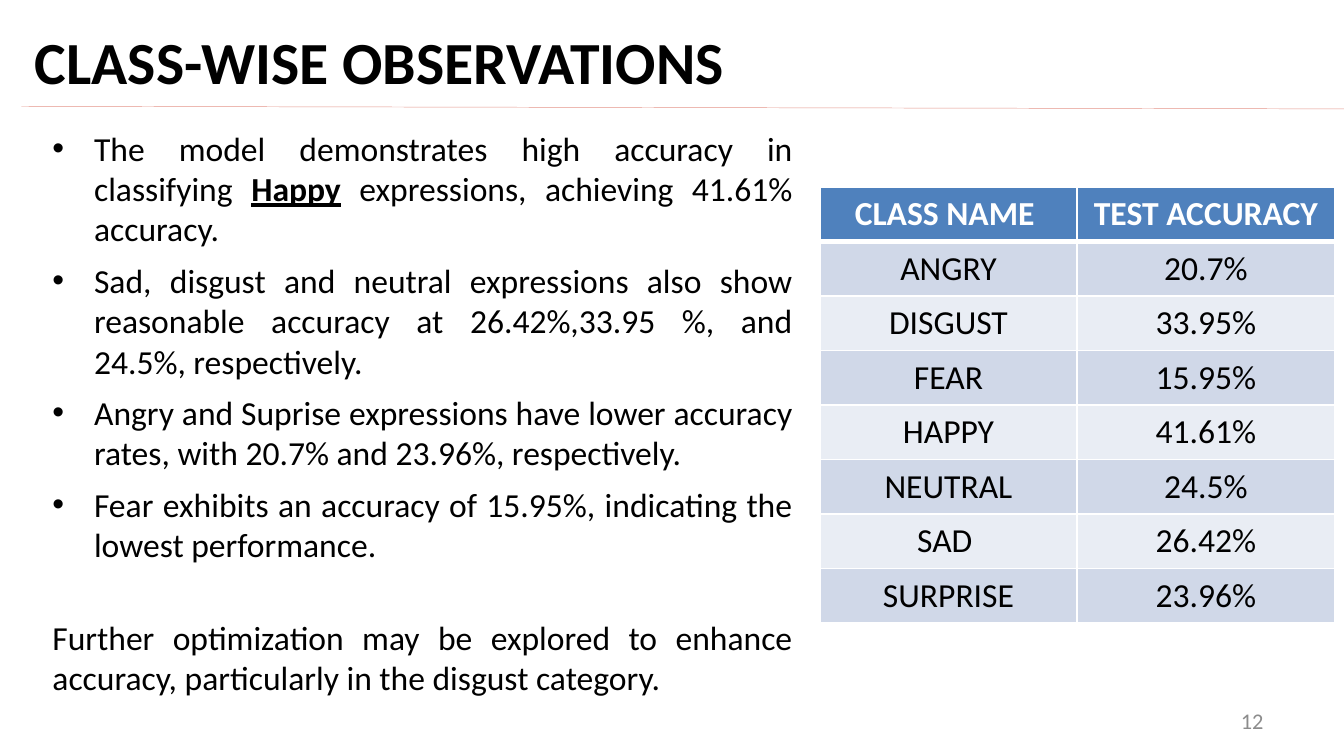
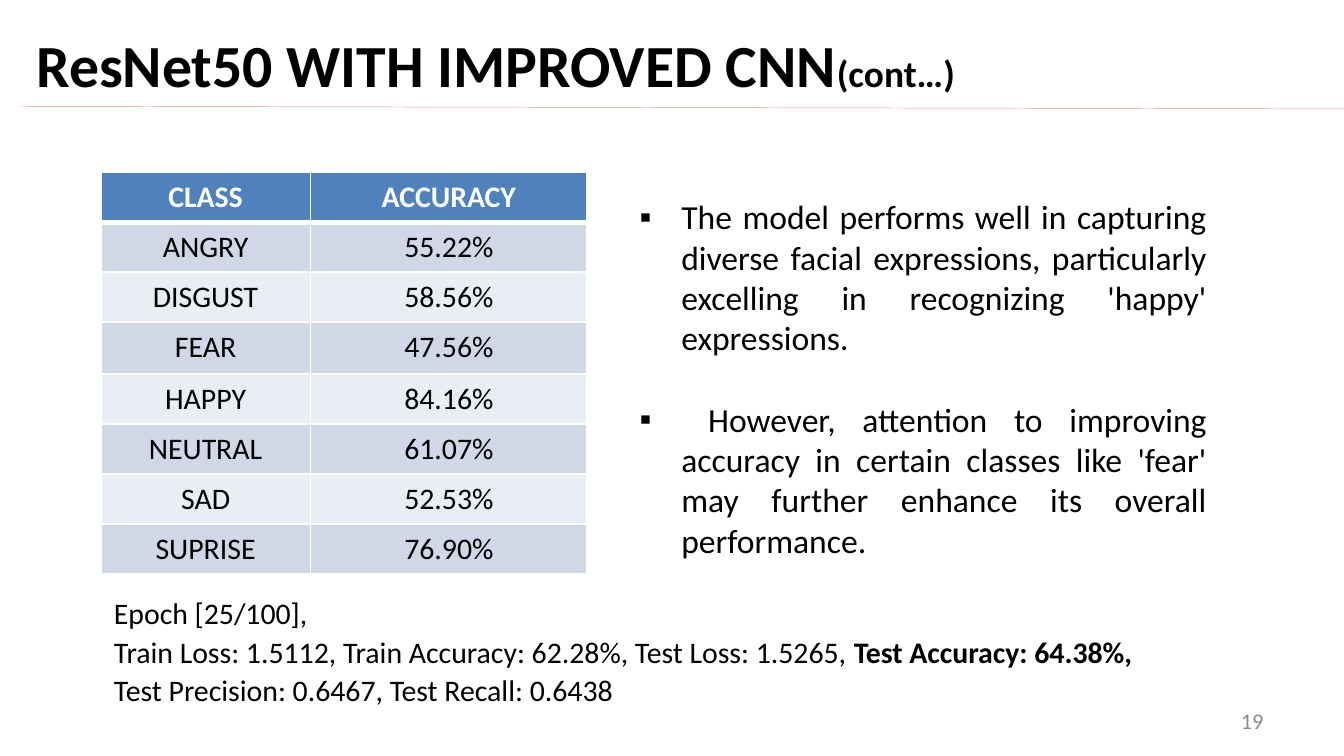
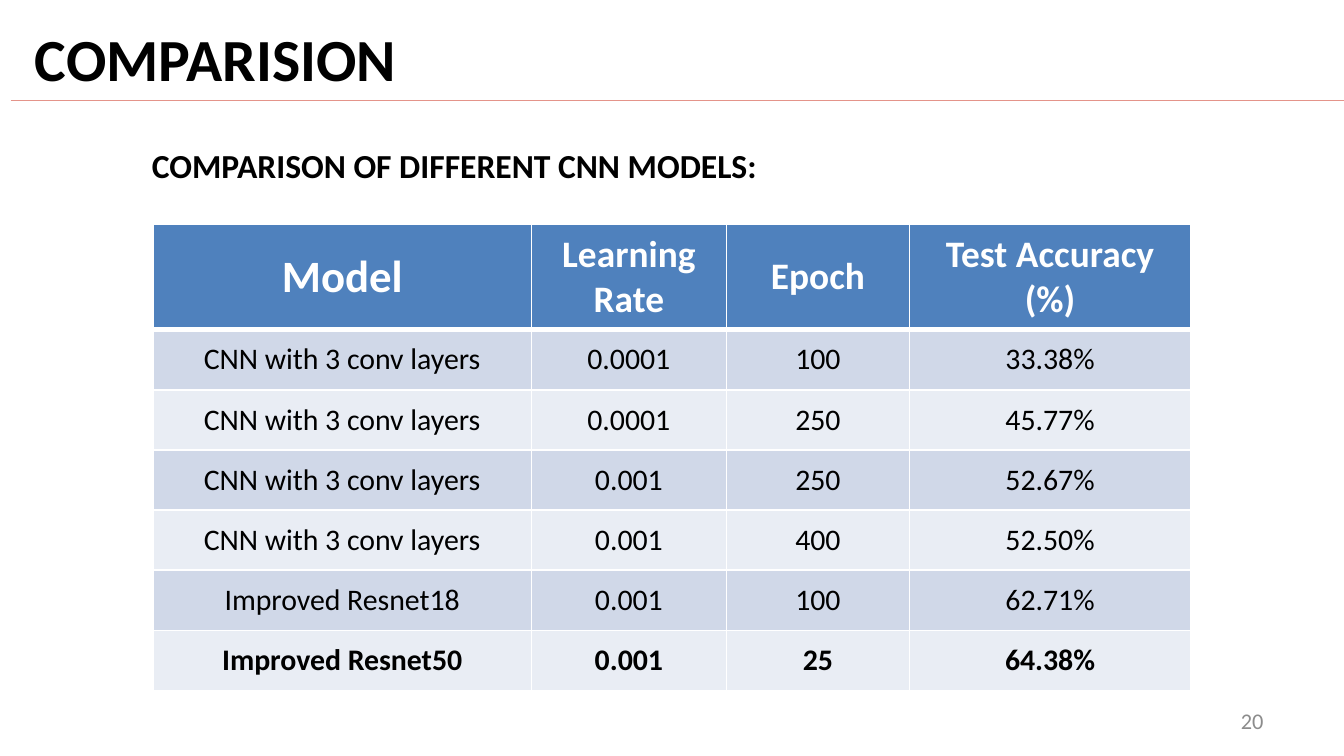
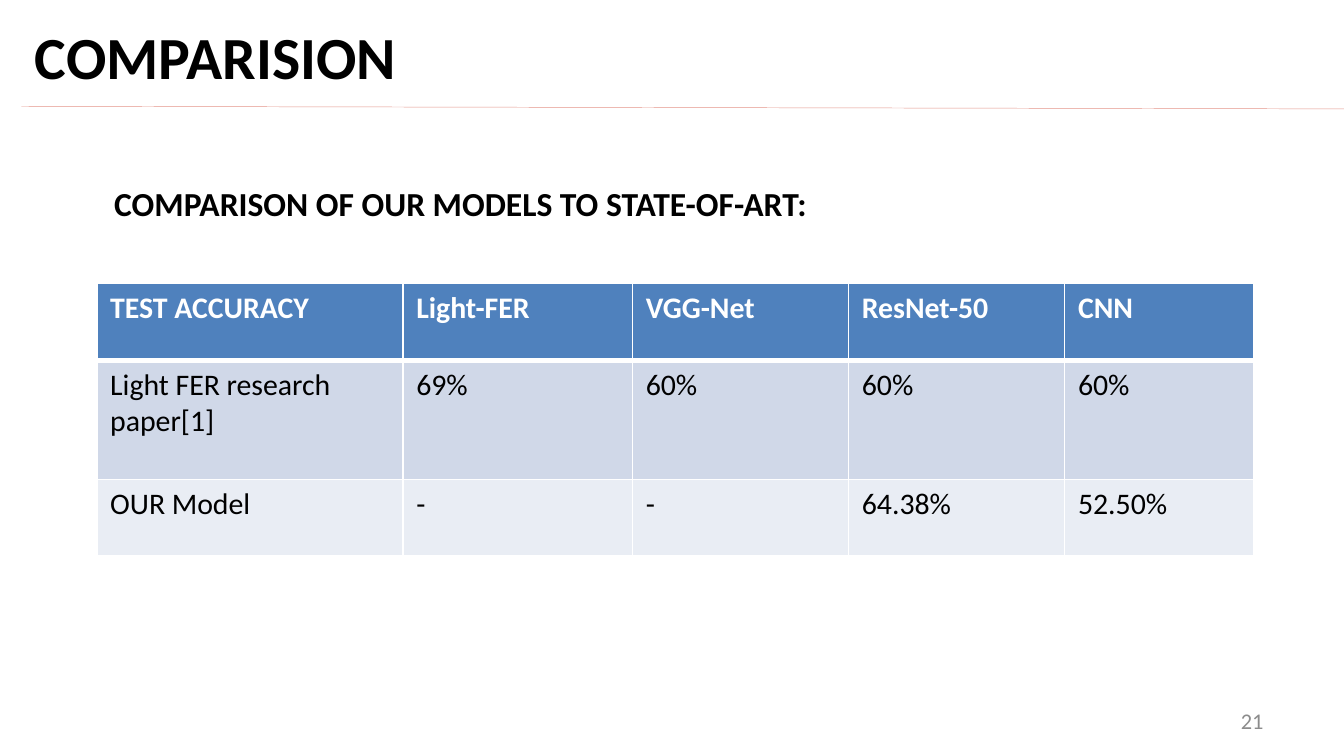
"""Build four slides on facial-expression classification results."""
import dataclasses

import lxml.etree
import pptx
import pptx.dml.color
import pptx.enum.shapes
import pptx.enum.text
import pptx.oxml
import pptx.oxml.ns
import pptx.util

ALIGN = pptx.enum.text.PP_ALIGN
ANCHOR = pptx.enum.text.MSO_ANCHOR


@dataclasses.dataclass(frozen=True)
class Theme:
    """Colours, type sizes and shared places (percent of the slide)."""
    font: str = "Calibri"
    ink: str = "000000"
    white: str = "FFFFFF"
    muted: str = "8C8C8C"
    rule: str = "E4948A"
    header: str = "4F81BD"
    bands: tuple = ("D0D8E8", "E9EDF4")
    title_size: int = 32
    suffix_size: int = 20
    body_size: int = 18
    note_size: int = 16
    page_size: int = 12
    indent: float = 0.31
    blank_line: int = 22
    rule_line: tuple = (1.6, 14.06, 100, 14.41)
    page_area: tuple = (71.7, 92.7, 23.3, 5.34)


THEME = Theme()
WIDTH = pptx.util.Inches(10)
HEIGHT = WIDTH * 9 // 16

BOLD = {"bold": True}
JUSTIFIED = {"alignment": ALIGN.JUSTIFY}
SPACED = {**JUSTIFIED, "space_after": pptx.util.Pt(6)}
AFTER_GAP = {**JUSTIFIED, "space_before": pptx.util.Pt(THEME.blank_line)}
LOOSE = {"line_spacing": 1.07}
TITLE_SPACING = {"line_spacing": 1.2}

SLIDES = [
    {
        "page": "12",
        "title": {"area": (1.6, 0.36, 59.2, 13.35), "format": TITLE_SPACING,
                  "runs": [("CLASS-WISE OBSERVATIONS", {})]},
        "body": {"area": (2.9, 16, 57.1, 77.9), "paragraphs": [
            ("•", SPACED, [
                ("The model demonstrates high accuracy in classifying ", {}),
                ("Happy", {"bold": True, "underline": True}),
                (" ", BOLD),
                ("expressions, achieving 41.61% accuracy.", {})]),
            ("•", SPACED, [("Sad, disgust and neutral expressions also show reasonable "
                            "accuracy at 26.42%,33.95 %, and 24.5%, respectively.", {})]),
            ("•", SPACED, [("Angry and Suprise expressions have lower accuracy rates, "
                            "with 20.7% and 23.96%, respectively.", {})]),
            ("•", SPACED, [("Fear exhibits an accuracy of 15.95%, indicating the "
                            "lowest performance.", {})]),
            (None, AFTER_GAP, [("Further optimization may be explored to enhance accuracy, "
                                "particularly in the disgust category.", {})]),
        ]},
        "table": {
            "area": (61, 24.73, 38.3, 56.9), "columns": [1, 1], "rows": [5.33] * 8,
            "size": THEME.body_size,
            "cells": [("CLASS NAME ", "TEST ACCURACY "), ("ANGRY", "20.7%"),
                      ("DISGUST", "33.95%"), ("FEAR", "15.95%"), ("HAPPY", "41.61%"),
                      ("NEUTRAL", "24.5%"), ("SAD ", "26.42%"), ("SURPRISE", "23.96%")],
        },
    },
    {
        "page": "19",
        "title": {"area": (1.7, 1.4, 72.5, 12.27), "format": TITLE_SPACING,
                  "runs": [("ResNet50 WITH IMPROVED CNN", {}),
                           ("(cont…)", {"size": pptx.util.Pt(THEME.suffix_size)})]},
        "body": {"area": (46.6, 25.07, 44.2, 50.3), "paragraphs": [
            ("▪", JUSTIFIED, [("The model performs well in capturing diverse facial "
                               "expressions, particularly excelling in recognizing "
                               "'happy' expressions.", {})]),
            ("▪", AFTER_GAP, [(" However, attention to improving accuracy in certain "
                               "classes like 'fear' may further enhance its overall "
                               "performance.", {})]),
        ]},
        "notes": {"area": (7.5, 77.5, 83.3, 16.9), "paragraphs": [
            (None, LOOSE, [("Epoch [25/100],", {})]),
            (None, LOOSE, [("Train Loss: 1.5112, Train Accuracy: 62.28%, "
                            "Test Loss: 1.5265, ", {}),
                           ("Test Accuracy: 64.38%,", BOLD)]),
            (None, LOOSE, [("Test Precision: 0.6467, Test Recall: 0.6438", {})]),
        ]},
        "table": {
            "area": (7.5, 22.76, 36.2, 52.4), "columns": [1.56, 2.06],
            "rows": [5.16] * 3 + [6.9] + [5.16] * 4,
            "size": THEME.note_size,
            "cells": [("CLASS", "ACCURACY"), ("ANGRY", "55.22%"), ("DISGUST", "58.56%"),
                      ("FEAR", "47.56%"), ("HAPPY", "84.16%"), ("NEUTRAL", "61.07%"),
                      ("SAD", "52.53%"), ("SUPRISE", "76.90%")],
        },
    },
    {
        "page": "20",
        "rule": (0.8, 13.3, 100, 13.3),
        "title": {"area": (1.6, 1.9, 30.9, 11.38), "runs": [("COMPARISION", {})]},
        "body": {"area": (10.3, 18.3, 47.5, 7.11), "paragraphs": [
            (None, {}, [("COMPARISON OF DIFFERENT CNN MODELS:", BOLD)])]},
        "table": {
            "area": (11.4, 29.72, 77.2, 61.3), "columns": [2.81, 1.45, 1.36, 2.09],
            "rows": [13] + [7.96] * 6,
            "size": THEME.note_size, "header_sizes": [24, 20, 20, 20],
            "anchor": ANCHOR.MIDDLE, "bold_rows": [6],
            "cells": [("Model", "Learning Rate", "Epoch", "Test Accuracy (%)"),
                      ("CNN with 3 conv layers", "0.0001", "100", "33.38%"),
                      ("CNN with 3 conv layers", "0.0001", "250", "45.77%"),
                      ("CNN with 3 conv layers", "0.001", "250", "52.67%"),
                      ("CNN with 3 conv layers", "0.001", "400", "52.50%"),
                      ("Improved Resnet18", "0.001", "100", "62.71%"),
                      ("Improved Resnet50", "0.001", "25", "64.38%")],
        },
    },
    {
        "page": "21",
        "title": {"area": (1.6, 1.7, 29.2, 11.38), "runs": [("COMPARISION", {})]},
        "body": {"area": (7.5, 23.29, 56.7, 7.11), "paragraphs": [
            (None, {}, [("COMPARISON OF OUR MODELS TO STATE-OF-ART:", BOLD)])]},
        "table": {
            "area": (7.2, 37.5, 86.1, 36.27), "columns": [2.28, 1.71, 1.61, 1.61, 1.41],
            "rows": [10.13, 15.82, 10.13],
            "size": THEME.note_size, "aligns": (ALIGN.JUSTIFY, ALIGN.LEFT),
            "cells": [("TEST ACCURACY", "Light-FER", "VGG-Net", "ResNet-50", "CNN"),
                      ("Light FER research paper[1]", "69%", "60%", "60%", "60%"),
                      ("OUR Model", "-", "-", "64.38%", "52.50%")],
        },
    },
]


def apply_format(target, values):
    for name, value in values.items():
        setattr(target, name, value)


def rgb(colour):
    return pptx.dml.color.RGBColor.from_string(colour)


def to_slide(area):
    """Turn percentages (x, y, x, y) into slide lengths."""
    return [round(share * side / 100) for share, side in zip(area, (WIDTH, HEIGHT) * 2)]


def add_child(parent, tag, **attributes):
    return lxml.etree.SubElement(parent, pptx.oxml.ns.qn(tag), **attributes)


def set_bullet(paragraph, bullet):
    properties = paragraph._p.get_or_add_pPr()
    indent = pptx.util.Inches(THEME.indent) if bullet else 0
    properties.set("marL", str(indent))
    properties.set("indent", str(-indent))
    if bullet:
        add_child(properties, "a:buFont", typeface="Arial")
        add_child(properties, "a:buChar", char=bullet)
    else:
        add_child(properties, "a:buNone")


def write_runs(paragraph, runs, size, colour=THEME.ink, bold=False):
    for text, values in runs:
        run = paragraph.add_run()
        run.text = text
        apply_format(run.font, {"name": THEME.font, "size": pptx.util.Pt(size),
                                "bold": bold, **values})
        run.font.color.rgb = rgb(colour)


def fill_text(shape, area, paragraphs, size, anchor=ANCHOR.TOP, **style):
    """Place a text shape and write its paragraphs."""
    apply_format(shape, dict(zip(("left", "top", "width", "height"), to_slide(area))))
    frame = shape.text_frame
    apply_format(frame, {"word_wrap": True, "vertical_anchor": anchor,
                         "auto_size": pptx.enum.text.MSO_AUTO_SIZE.NONE})
    for index, (bullet, values, runs) in enumerate(paragraphs):
        paragraph = frame.add_paragraph() if index else frame.paragraphs[0]
        apply_format(paragraph, {"alignment": ALIGN.LEFT, "space_before": pptx.util.Pt(0),
                                 **values})
        set_bullet(paragraph, bullet)
        write_runs(paragraph, runs, size, **style)


def add_rule(slide, line):
    connector = slide.shapes.add_connector(
        pptx.enum.shapes.MSO_CONNECTOR.STRAIGHT, *to_slide(line))
    connector.line.color.rgb = rgb(THEME.rule)
    connector.line.width = pptx.util.Pt(0.25)
    add_child(connector._element.spPr, "a:effectLst")


def set_borders(cell, row):
    properties = cell._tc.get_or_add_tcPr()
    widths = {"L": 1, "R": 1, "T": 3 if row == 1 else 1, "B": 3 if row == 0 else 1}
    for index, (side, width) in enumerate(widths.items()):
        border = add_child(properties, f"a:ln{side}", w=str(pptx.util.Pt(width)))
        add_child(add_child(border, "a:solidFill"), "a:srgbClr", val=THEME.white)
        properties.insert(index, border)


def add_table(slide, spec):
    """Add a table whose rows are at least the given percent of the slide's height."""
    left, top, width, height = to_slide(spec["area"])
    columns, rows = spec["columns"], spec["rows"]
    table_frame = slide.shapes.add_table(len(rows), len(columns), left, top, width, height)
    table = table_frame.table
    for column, share in zip(table.columns, columns):
        column.width = round(width * share / sum(columns))
    for row, share in zip(table.rows, rows):
        row.height = round(HEIGHT * share / 100)
    apply_format(table_frame, {"width": width, "height": height})
    header_sizes = spec.get("header_sizes", [spec["size"]] * len(columns))
    header_align, body_align = spec.get("aligns", (ALIGN.CENTER, ALIGN.CENTER))
    for row, texts in enumerate(spec["cells"]):
        for column, text in enumerate(texts):
            cell = table.cell(row, column)
            cell.vertical_anchor = spec.get("anchor", ANCHOR.TOP)
            cell.fill.solid()
            cell.fill.fore_color.rgb = rgb(THEME.bands[(row - 1) % 2] if row else THEME.header)
            set_borders(cell, row)
            paragraph = cell.text_frame.paragraphs[0]
            paragraph.alignment = body_align if row else header_align
            write_runs(paragraph, [(text, {})],
                       spec["size"] if row else header_sizes[column],
                       THEME.ink if row else THEME.white,
                       row == 0 or row in spec.get("bold_rows", []))


def add_text_box(slide, area, paragraphs, size, **style):
    fill_text(slide.shapes.add_textbox(0, 0, 0, 0), area, paragraphs, size, **style)


def build_slide(presentation, content):
    slide = presentation.slides.add_slide(presentation.slide_layouts[1])
    title, body = content["title"], content["body"]
    fill_text(slide.shapes.title, title["area"],
              [(None, title.get("format", {}), title["runs"])],
              THEME.title_size, ANCHOR.MIDDLE, bold=True)
    fill_text(slide.placeholders[1], body["area"], body["paragraphs"], THEME.body_size)
    add_text_box(slide, THEME.page_area,
                 [(None, {"alignment": ALIGN.RIGHT}, [(content["page"], {})])],
                 THEME.page_size, anchor=ANCHOR.MIDDLE, colour=THEME.muted)
    add_rule(slide, content.get("rule", THEME.rule_line))
    if "notes" in content:
        add_text_box(slide, **content["notes"], size=THEME.note_size)
    add_table(slide, content["table"])


def main():
    presentation = pptx.Presentation()
    apply_format(presentation, {"slide_width": WIDTH, "slide_height": HEIGHT})
    for content in SLIDES:
        build_slide(presentation, content)
    presentation.save("out.pptx")


if __name__ == "__main__":
    main()
